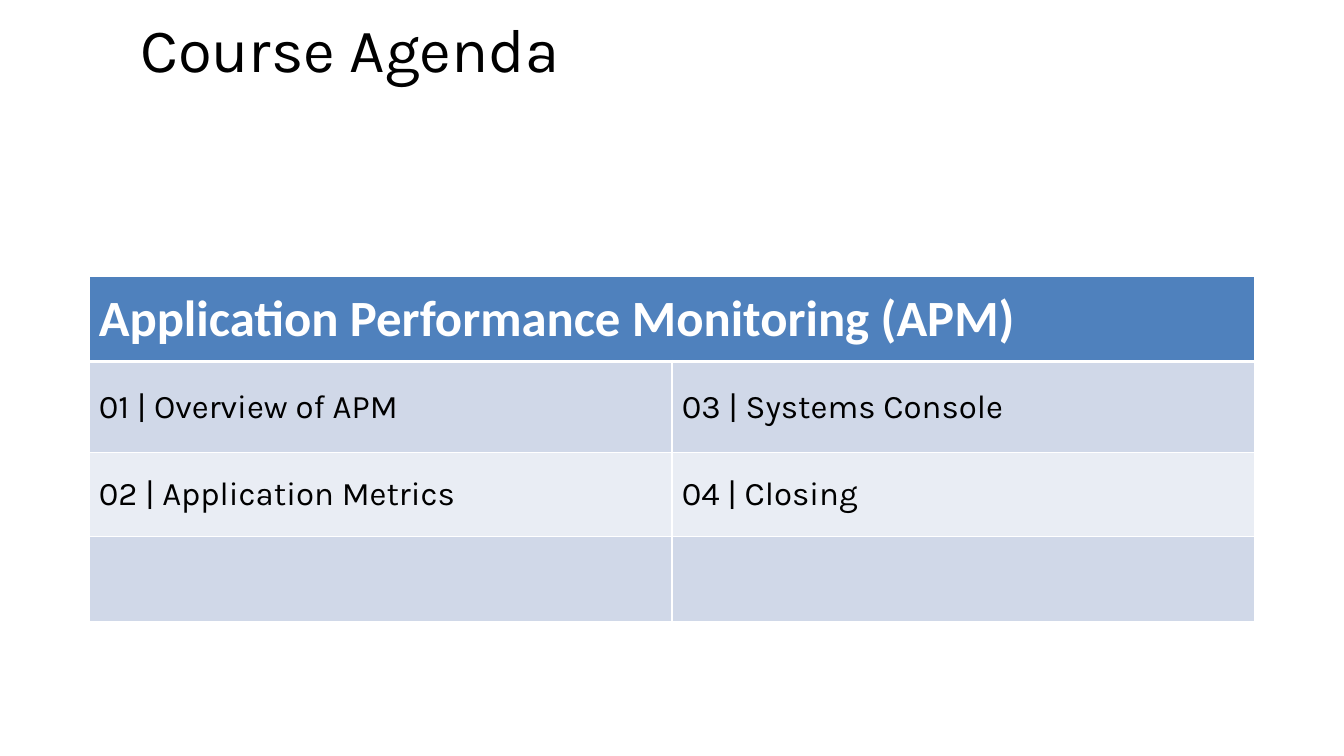
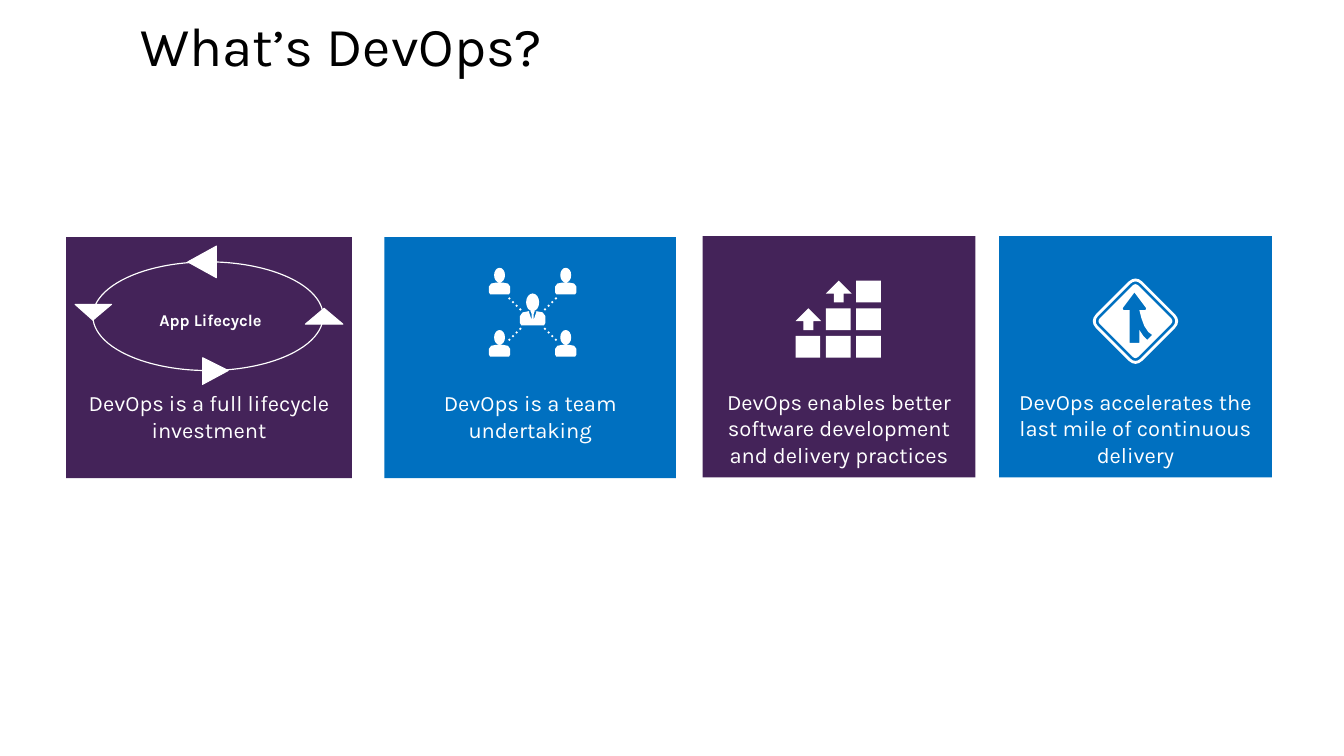
"""Builds two course slides: the agenda table and four DevOps cards."""
import math
from pptx import Presentation, util as u
from pptx.dml.color import RGBColor
from pptx.enum import shapes, text
from pptx.oxml.ns import qn
from lxml import etree

W, H = 13.6, 7.65
FONT = "Karla"
WHITE, BLACK, BLUE, PLUM = "FFFFFF", "000000", "0070C0", "442359"
KIND = shapes.MSO_SHAPE


def ink(paint, tone):
    """Give a fill or a font colour one solid tone."""
    if hasattr(paint, "solid"):
        paint.solid()
        paint = paint.fore_color
    paint.rgb = RGBColor.from_string(tone)


def put(page, kind, x, y, w, h, tone):
    """Add a flat preset shape without an outline."""
    item = page.shapes.add_shape(kind, *map(u.Inches, (x, y, w, h)))
    item.shadow.inherit = False
    ink(item.fill, tone)
    item.line.fill.background()
    return item


deck = Presentation()
deck.slide_width, deck.slide_height = u.Inches(W), u.Inches(H)

pages = []
for words, size in (("Course Agenda", 44.9), ("What’s DevOps?", 40)):
    page = deck.slides.add_slide(deck.slide_layouts[5])
    head = page.shapes.title
    head.left, head.top = u.Inches(1.32), u.Inches(0.2)
    head.width, head.height = u.Inches(8.79), u.Inches(1.19)
    frame = head.text_frame
    frame.vertical_anchor = text.MSO_ANCHOR.TOP
    frame.auto_size = text.MSO_AUTO_SIZE.NONE
    frame.word_wrap = True
    para = frame.paragraphs[0]
    para.alignment = text.PP_ALIGN.LEFT
    para.line_spacing = 0.8
    run = para.add_run()
    run.text = words
    run.font.size, run.font.name = u.Pt(size), FONT
    ink(run.font.color, BLACK)
    pages.append(page)
plan, page = pages

col, rows = 5.9, (0.86, 0.92, 0.85, 0.86)
grid = plan.shapes.add_table(4, 2, u.Inches(W / 2 - col), u.Inches(2.8),
                             u.Inches(2 * col), u.Inches(sum(rows))).table
topics = (("Application Performance Monitoring (APM)", ""),
          ("01 | Overview of APM", "03 | Systems Console"),
          ("02 | Application Metrics", "04 | Closing"),
          ("", ""))
tones = ("4F81BD", "D0D8E8", "E9EDF4", "D0D8E8")
grid.cell(0, 0).merge(grid.cell(0, 1))
for r, (tall, tone, line) in enumerate(zip(rows, tones, topics)):
    grid.rows[r].height = u.Inches(tall)
    for c, words in enumerate(line):
        cell = grid.cell(r, c)
        cell.vertical_anchor = text.MSO_ANCHOR.MIDDLE
        props = cell._tc.get_or_add_tcPr()
        for side in "LRTB":
            thick = 3 if (r, side) in ((0, "B"), (1, "T")) else 1
            edge = etree.SubElement(props, qn("a:ln" + side), w=str(u.Pt(thick)))
            fill = etree.SubElement(edge, qn("a:solidFill"))
            etree.SubElement(fill, qn("a:srgbClr"), val=WHITE)
        ink(cell.fill, tone)
        if words:
            run = cell.text_frame.paragraphs[0].add_run()
            run.text = words
            run.font.bold = r == 0
            run.font.size = u.Pt(24 if r else 37)
            run.font.name = FONT if r else "Calibri"
            ink(run.font.color, BLACK if r else WHITE)

cards = ((0.67, 2.4, 2.89, PLUM, 0.36, "DevOps is a full lifecycle investment"),
         (3.89, 2.4, 2.95, BLUE, 0.36, "DevOps is a team undertaking"),
         (7.11, 2.39, 2.76, PLUM, 0.1,
          "DevOps enables better software development and delivery practices"),
         (10.11, 2.39, 2.76, BLUE, 0.1,
          "DevOps accelerates the last mile of continuous delivery"))
for x, y, wide, tone, foot, words in cards:
    frame = put(page, KIND.RECTANGLE, x, y, wide, 2.44, tone).text_frame
    frame.word_wrap = True
    frame.vertical_anchor = text.MSO_ANCHOR.BOTTOM
    frame.margin_left = frame.margin_right = u.Inches(0.05)
    frame.margin_top, frame.margin_bottom = u.Inches(0.1), u.Inches(foot)
    para = frame.paragraphs[0]
    para.alignment = text.PP_ALIGN.CENTER
    run = para.add_run()
    run.text = words
    run.font.size, run.font.name = u.Pt(16), FONT
    ink(run.font.color, WHITE)

ring = put(page, KIND.OVAL, 0.94, 2.65, 2.33, 1.1, WHITE)
ring.fill.background()
ink(ring.line.fill, WHITE)
ring.line.width = u.Pt(0.85)
label = page.shapes.add_textbox(*map(u.Inches, (1.5, 3.09, 1.26, 0.3)))
label.text_frame.word_wrap = False
para = label.text_frame.paragraphs[0]
para.alignment = text.PP_ALIGN.CENTER
run = para.add_run()
run.text = "App Lifecycle"
run.font.size, run.font.name, run.font.bold = u.Pt(12), FONT, True
ink(run.font.color, WHITE)

mid, deep = 5.39, 3.23
crew, team = [(mid, 2.97, 1.2)], []
for dx in (-1, 1):
    team.append([(mid + dx * a, b) for a, b in
                 ((0.04, 3.15), (0.01, 3.24), (0.01, 3.18), (0.02, 3.15))])
    for dy in (-1, 1):
        crew.append((mid + dx * 0.335, 3.025 + dy * 0.315, 1))
        for i in range(4):
            x = mid + dx * (0.125 + 0.037 * i)
            y = deep + dy * (0.098 + 0.037 * i)
            team.append([(x - 0.013, y), (x, y - 0.013), (x + 0.013, y), (x, y + 0.013)])
for x, y, k in crew:
    turns = [math.tau * i / 16 for i in range(16)]
    team.append([(x + 0.055 * k * math.cos(t), y + k * (0.075 + 0.075 * math.sin(t)))
                 for t in turns])
    half = ((0.035, 0.15), (0.085, 0.16), (0.107, 0.19), (0.107, 0.25), (0.095, 0.27))
    team.append([(x + a * k, y + b * k) for a, b in half]
                + [(x - a * k, y + b * k) for a, b in reversed(half)])

steps = []
for r in range(3):
    for c in range(3):
        x, y = 8.05 + 0.307 * c, 2.84 + 0.28 * r
        if r + c > 1:
            steps.append([(x, y), (x + 0.25, y), (x + 0.25, y + 0.22), (x, y + 0.22)])
        elif r + c == 1:
            steps.append([(x + a, y + b) for a, b in
                          ((0.13, 0), (0.26, 0.13), (0.18, 0.13), (0.18, 0.22),
                           (0.08, 0.22), (0.08, 0.13), (0, 0.13))])

signs = []
for a in (0.07, 0.05, 0.03):
    loop, b = [], a + 0.33
    for cos, sin in ((1, 0), (0, 1), (-1, 0), (0, -1)):
        for p, q in ((0, -1), (0.34, -0.5), (0.45, 0), (0.34, 0.5), (0, 1)):
            far, off = b + p * a, q * a
            loop.append((11.49 + far * cos - off * sin, 3.25 + far * sin + off * cos))
    signs.append(loop)
merge = [(11.48, 2.96), (11.6, 3.12), (11.59, 3.14), (11.53, 3.14), (11.55, 3.22),
         (11.58, 3.3), (11.62, 3.36), (11.66, 3.39), (11.61, 3.44), (11.57, 3.4),
         (11.53, 3.34), (11.53, 3.47), (11.43, 3.47), (11.43, 3.14),
         (11.37, 3.14), (11.36, 3.12)]

icons = ((0, team), (0, steps), (0, signs[:2]), (0, [signs[2], merge]),
         (0.75, [[(1.13, 3.08), (0.94, 3.24), (0.76, 3.08)]]),
         (0.75, [[(2.05, 3.62), (2.31, 3.75), (2.05, 3.89)]]),
         (0.75, [[(3.09, 3.28), (3.28, 3.12), (3.47, 3.28)]]),
         (0.75, [[(2.19, 2.81), (1.9, 2.65), (2.19, 2.49)]]))
for edge, loops in icons:
    pen = None
    for loop in loops:
        dots = [(round(x * 1000), round(y * 1000)) for x, y in loop]
        if pen is None:
            pen = page.shapes.build_freeform(*dots[0], scale=u.Inches(1) / 1000)
        else:
            pen.move_to(*dots[0])
        pen.add_line_segments(dots[1:], close=True)
    form = pen.convert_to_shape()
    form.shadow.inherit = False
    ink(form.fill, WHITE)
    if edge:
        ink(form.line.fill, WHITE)
        form.line.width = u.Pt(edge)
    else:
        form.line.fill.background()

deck.save("out.pptx")
